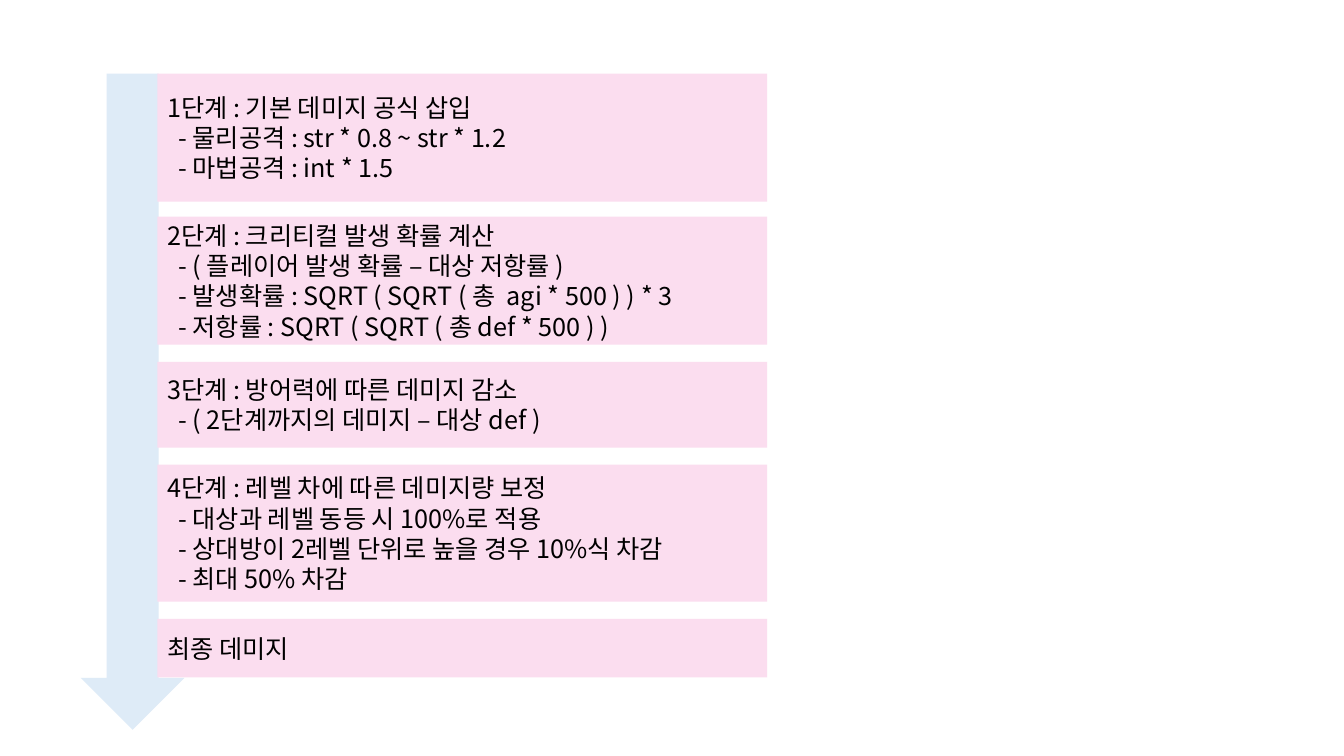
from lxml import etree
from pptx import Presentation
from pptx.dml.color import RGBColor
from pptx.enum.shapes import MSO_SHAPE
from pptx.enum.text import MSO_ANCHOR, PP_ALIGN
from pptx.oxml.ns import qn
from pptx.util import Inches, Pt

DOWN_ARROW, RECTANGLE = MSO_SHAPE.DOWN_ARROW, MSO_SHAPE.RECTANGLE
MIDDLE, LEFT = MSO_ANCHOR.MIDDLE, PP_ALIGN.LEFT

# Content: top, height, heading, details of each stage
STAGES = [
    (0.73, 1.27, "1단계 : 기본 데미지 공식 삽입", [
        "- 물리공격 : str * 0.8 ~ str * 1.2",
        "- 마법공격 : int * 1.5",
    ]),
    (2.15, 1.27, "2단계 : 크리티컬 발생 확률 계산", [
        "- ( 플레이어 발생 확률 – 대상 저항률 )",
        "- 발생확률 : SQRT ( SQRT ( 총  agi * 500 ) ) * 3",
        "- 저항률 : SQRT ( SQRT ( 총 def * 500 ) )",
    ]),
    (3.59, 0.85, "3단계 : 방어력에 따른 데미지 감소", [
        "- ( 2단계까지의 데미지 – 대상 def )",
    ]),
    (4.61, 1.36, "4단계 : 레벨 차에 따른 데미지량 보정", [
        "- 대상과 레벨 동등 시 100%로 적용",
        "- 상대방이 2레벨 단위로 높을 경우 10%식 차감",
        "- 최대 50% 차감",
    ]),
    (6.14, 0.58, "최종 데미지", []),
]

# Format
COLORS = {"arrow": "DEEBF7", "stage": "FBDDEF", "text": "000000"}
FONT = "Noto Sans CJK KR"
TEXT_FORMAT = {"name": FONT, "size": Pt(18)}
PARA_FORMAT = {"alignment": LEFT, "line_spacing": Pt(21.6)}
FRAME_FORMAT = {"vertical_anchor": MIDDLE, "word_wrap": True}
DETAIL_INDENT = Inches(0.11)
ARROW_BOX = (0.8, 0.73, 1.03, 6.51)
STAGE_LEFT, STAGE_WIDTH = 1.56, 6.05


def apply_format(target, values):
    for name, value in values.items():
        setattr(target, name, value)


def add_block(page, kind, box, color):
    block = page.shapes.add_shape(kind, *map(Inches, box))
    block.shadow.inherit = False
    block.fill.solid()
    block.fill.fore_color.rgb = RGBColor.from_string(COLORS[color])
    block.line.fill.background()
    return block


def write_line(para, text, indent):
    apply_format(para, PARA_FORMAT)
    para_properties = para._p.get_or_add_pPr()
    para_properties.set("marL", str(indent))
    span = para.add_run()
    span.text = text
    apply_format(span.font, TEXT_FORMAT)
    span.font.color.rgb = RGBColor.from_string(COLORS["text"])
    # Korean characters take the East Asian typeface
    etree.SubElement(span._r.get_or_add_rPr(), qn("a:ea"), typeface=FONT)


def add_stage(page, top, height, heading, details):
    box = (STAGE_LEFT, top, STAGE_WIDTH, height)
    frame = add_block(page, RECTANGLE, box, "stage").text_frame
    apply_format(frame, FRAME_FORMAT)
    write_line(frame.paragraphs[0], heading, 0)
    for detail in details:
        write_line(frame.add_paragraph(), detail, DETAIL_INDENT)


def main():
    deck = Presentation()
    deck.slide_width, deck.slide_height = Inches(13.33), Inches(7.5)
    page = deck.slides.add_slide(deck.slide_layouts[6])

    # Flow arrow behind the stages
    add_block(page, DOWN_ARROW, ARROW_BOX, "arrow")
    for stage in STAGES:
        add_stage(page, *stage)
    deck.save("out.pptx")


if __name__ == "__main__":
    main()
